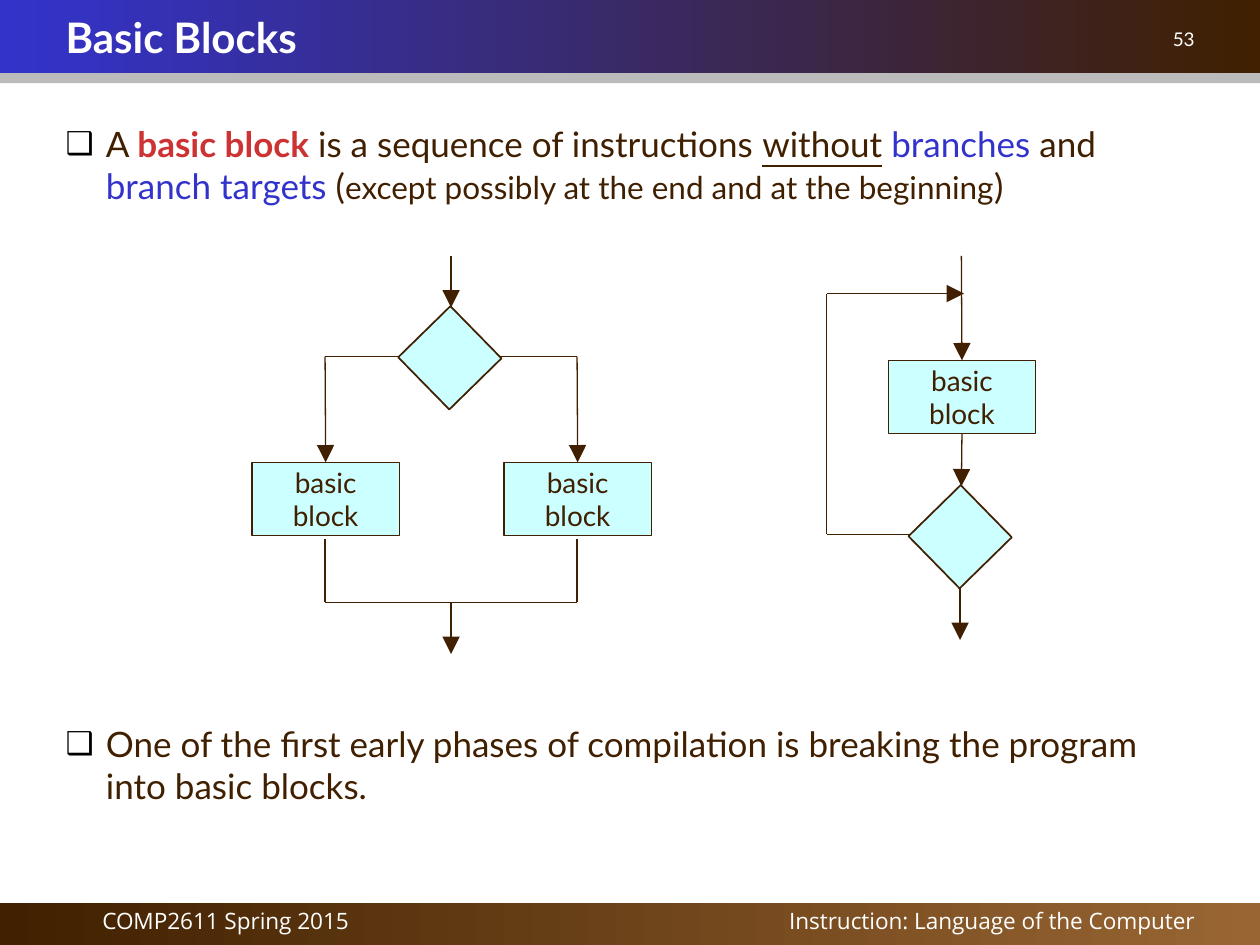
from dataclasses import dataclass

from lxml.etree import SubElement
from pptx import Presentation
from pptx.dml.color import RGBColor
from pptx.enum.shapes import MSO_CONNECTOR, MSO_SHAPE
from pptx.enum.text import MSO_ANCHOR, MSO_AUTO_SIZE, PP_ALIGN
from pptx.oxml.ns import qn
from pptx.util import Inches, Pt


@dataclass(frozen=True)
class Theme:
    brown: str = "402000"
    tan: str = "996633"
    blue: str = "3333CC"
    red: str = "CD3333"
    cyan: str = "CCFFFF"
    gray: str = "BBBBBB"
    white: str = "FFFFFF"
    black: str = "000000"
    font: str = "Lato"
    footer_font: str = "Open Sans"
    title_size: float = 24
    body_size: float = 20
    aside_size: float = 18
    block_size: float = 16
    footer_size: float = 12.9
    number_size: float = 10.8
    line: float = 0.75


THEME = Theme()
BLOCK_WIDTH, BLOCK_HEIGHT = 1.17, 0.58
DIAMOND_SIDE = 0.58
TOP, BOTTOM = 0, 2


def rgb(value):
    return RGBColor.from_string(value)


def style_font(font, size, color, name=THEME.font, bold=False):
    font.size = Pt(size)
    font.name = name
    font.bold = bold
    font.color.rgb = rgb(color)


def place(shape, left, top, width, height):
    shape.left, shape.top = Inches(left), Inches(top)
    shape.width, shape.height = Inches(width), Inches(height)


def add_band(page, top, height, *colors):
    """Full-width band behind everything else; two colours make a gradient."""
    band = page.shapes.add_shape(
        MSO_SHAPE.RECTANGLE, 0, Inches(top), Inches(10), Inches(height))
    band.shadow.inherit = False
    band.line.fill.background()
    if len(colors) == 1:
        band.fill.solid()
        band.fill.fore_color.rgb = rgb(colors[0])
    else:
        band.fill.gradient()
        band.fill.gradient_angle = 0
        for stop, color in zip(band.fill.gradient_stops, colors):
            stop.color.rgb = rgb(color)
    page.shapes.element.insert(2, band.element)


def add_label(page, text, at, align, size, font, spacing=1.0):
    box = page.shapes.add_textbox(*map(Inches, at))
    box.text_frame.word_wrap = True
    box.text_frame.text = text
    para = box.text_frame.paragraphs[0]
    para.alignment = align
    para.line_spacing = spacing
    style_font(para.runs[0].font, size, THEME.white, font)


def set_title(page, text):
    title = page.shapes.title
    place(title, 0.42, 0, 9.17, 0.58)
    frame = title.text_frame
    frame.text = text
    frame.auto_size = MSO_AUTO_SIZE.NONE
    frame.vertical_anchor = MSO_ANCHOR.MIDDLE
    para = frame.paragraphs[0]
    para.alignment = PP_ALIGN.LEFT
    style_font(para.runs[0].font, THEME.title_size, THEME.white, bold=True)


def add_bullet(para):
    props = para._p.get_or_add_pPr()
    props.set("marL", str(Inches(0.32)))
    props.set("indent", str(-Inches(0.32)))
    color = SubElement(props, qn("a:buClr"))
    SubElement(color, qn("a:srgbClr"), val=THEME.black)
    SubElement(props, qn("a:buSzPct"), val="90000")
    SubElement(props, qn("a:buChar"), char="❑")


def set_body(page, items, gap):
    """Each item is a list of (text, font changes) spans."""
    body = page.placeholders[1]
    place(body, 0.42, 0.92, 9.17, 6)
    frame = body.text_frame
    frame.auto_size = MSO_AUTO_SIZE.NONE
    for index, spans in enumerate(items):
        para = frame.add_paragraph() if index else frame.paragraphs[0]
        add_bullet(para)
        para.space_before = Pt(gap if index else 0)
        for text, changes in spans:
            span = para.add_run()
            span.text = text
            style_font(span.font, changes.get("size", THEME.body_size),
                       changes.get("color", THEME.brown),
                       bold=changes.get("bold", False))
            span.font.underline = changes.get("underline", False)


def add_node(page, left, top, width, height, line_width=THEME.line):
    node = page.shapes.add_shape(
        MSO_SHAPE.RECTANGLE, *map(Inches, (left, top, width, height)))
    node.shadow.inherit = False
    node.fill.solid()
    node.fill.fore_color.rgb = rgb(THEME.cyan)
    node.line.color.rgb = rgb(THEME.brown)
    node.line.width = Pt(line_width)
    return node


def add_block(page, left, top):
    block = add_node(page, left, top, BLOCK_WIDTH, BLOCK_HEIGHT)
    frame = block.text_frame
    frame.word_wrap = False
    frame.vertical_anchor = MSO_ANCHOR.MIDDLE
    frame.text = "basic\nblock"
    for para in frame.paragraphs:
        para.alignment = PP_ALIGN.CENTER
        style_font(para.runs[0].font, THEME.block_size, THEME.brown)
    return block


def add_diamond(page, left, top):
    diamond = add_node(page, left, top, DIAMOND_SIDE, DIAMOND_SIDE, 1)
    diamond.rotation = 45.6


def add_line(page, start, end, arrow=False):
    line = page.shapes.add_connector(
        MSO_CONNECTOR.STRAIGHT, *map(Inches, (*start, *end)))
    line.line.color.rgb = rgb(THEME.brown)
    line.line.width = Pt(THEME.line)
    if arrow:
        SubElement(line.line._get_or_add_ln(), qn("a:tailEnd"),
                   type="triangle", w="lg", len="lg")
    SubElement(line.element.spPr, qn("a:effectLst"))
    return line


def draw_branch(page):
    center, split, merge = 3.58, 2.83, 4.78
    sides = (center - 1, center + 1)
    for y in (split, merge):
        add_line(page, (sides[0], y), (sides[1], y))
    for x in sides:
        block = add_block(page, x - 0.58, 3.67)
        add_line(page, (x, split), (x, 3.67), arrow=True).end_connect(block, TOP)
        add_line(page, (x, 4.28), (x, merge))
    add_diamond(page, 3.28, 2.55)
    add_line(page, (center, 2.03), (center, 2.44), arrow=True)
    add_line(page, (center, merge), (center, 5.19), arrow=True)


def draw_loop(page):
    center, back, entry, exit_y = 7.63, 6.56, 2.33, 4.24
    add_line(page, (7.31, exit_y), (back, exit_y))
    add_line(page, (back, exit_y), (back, entry))
    add_line(page, (back, entry), (7.65, entry), arrow=True)
    block = add_block(page, 7.05, 2.86)
    add_line(page, (center, 2.03), (center, 2.86), arrow=True).end_connect(block, TOP)
    add_line(page, (center, 3.44), (center, 3.86), arrow=True).begin_connect(block, BOTTOM)
    add_diamond(page, 7.33, 3.97)
    add_line(page, (7.62, 4.67), (7.62, 5.08), arrow=True)


def main():
    deck = Presentation()
    deck.slide_width, deck.slide_height = Inches(10), Inches(7.5)
    page = deck.slides.add_slide(deck.slide_layouts[1])
    add_band(page, 0, 0.58, THEME.blue, THEME.brown)
    add_band(page, 0.08, 0.58, THEME.gray)
    add_band(page, 7.17, 0.33, THEME.brown, THEME.tan)
    add_label(page, "COMP2611 Spring 2015", (0.25, 7.17, 3.08, 0.33),
              PP_ALIGN.CENTER, THEME.footer_size, THEME.footer_font, 0.9)
    add_label(page, "Instruction: Language of the Computer", (4.58, 7.17, 5, 0.33),
              PP_ALIGN.RIGHT, THEME.footer_size, THEME.footer_font, 0.9)
    add_label(page, "53", (7.5, 0.17, 2.08, 0.33),
              PP_ALIGN.RIGHT, THEME.number_size, THEME.font)
    set_title(page, "Basic Blocks")
    blue = {"color": THEME.blue}
    definition = [
        ("A ", {}), ("basic block", {"color": THEME.red, "bold": True}),
        (" is a sequence of instructions ", {}), ("without", {"underline": True}),
        (" ", {}), ("branches", blue), (" and ", {}), ("branch targets", blue),
        (" (", {}),
        ("except possibly at the end and at the beginning", {"size": THEME.aside_size}),
        (")", {})]
    usage = [("One of the first early phases of compilation is breaking "
              "the program into basic blocks.", {})]
    set_body(page, [definition, usage], gap=295)
    draw_branch(page)
    draw_loop(page)
    deck.save("out.pptx")


if __name__ == "__main__":
    main()
